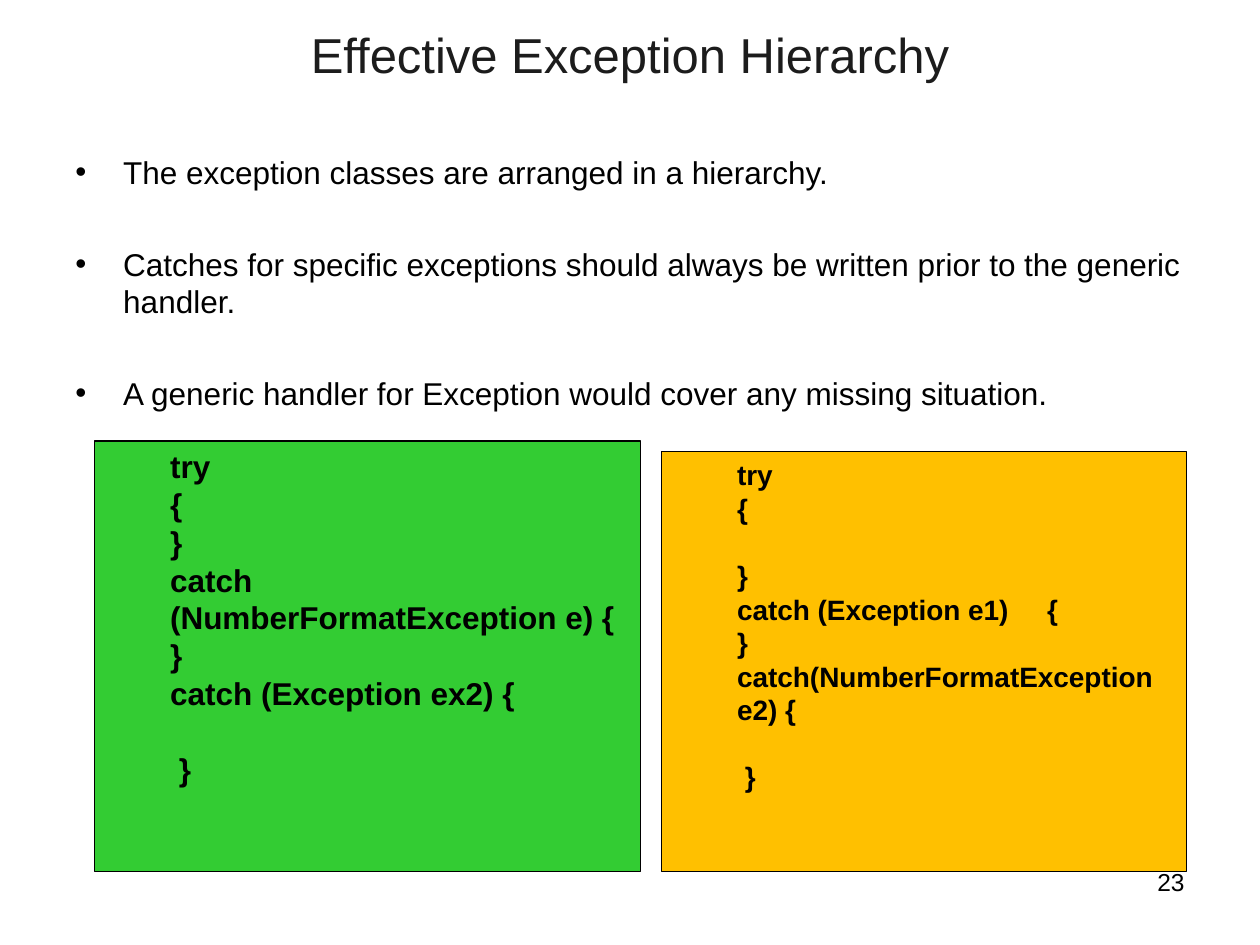
from lxml.etree import SubElement
from pptx import Presentation
from pptx.dml.color import RGBColor
from pptx.enum.shapes import MSO_SHAPE
from pptx.enum.text import MSO_ANCHOR, MSO_AUTO_SIZE, PP_ALIGN
from pptx.oxml.ns import qn
from pptx.util import Inches, Pt

CELL = 1 / 12  # grid of 120 columns by 90 rows, in inches
LEAD = 1.2     # line height as a share of the text size


def paint(target, code):
    """Give a fill or font colour format a hex colour."""
    target.rgb = RGBColor.from_string(code)


def write(frame, lines, size=18, color="000000", font="Arial", bold=False,
          align=PP_ALIGN.LEFT, anchor=MSO_ANCHOR.TOP, inset=(0.1, 0.05, 0.1, 0.05),
          gap=0, bullet=None, hang=0, tab=None):
    """Fill a frame; each None in lines leaves one line of space before the next."""
    frame.word_wrap = True
    frame.auto_size = MSO_AUTO_SIZE.NONE
    frame.vertical_anchor = anchor
    (frame.margin_left, frame.margin_top,
     frame.margin_right, frame.margin_bottom) = map(Inches, inset)
    para, space = frame.paragraphs[0], 0
    for line in lines:
        if line is None:
            space += size * LEAD + gap
            continue
        if para.runs:
            para = frame.add_paragraph()
        run = para.add_run()
        run.text = line
        run.font.name, run.font.size, run.font.bold = font, Pt(size), bold
        paint(run.font.color, color)
        para.alignment = align
        para.line_spacing = Pt(size * LEAD)
        para.space_before = Pt(space)
        space = gap
        props = para._p.get_or_add_pPr()
        if bullet:
            props.set("marL", str(Inches(hang)))
            props.set("indent", str(-Inches(hang)))
            SubElement(props, qn("a:buFont"), typeface=font)
            SubElement(props, qn("a:buChar"), char=bullet)
        if tab:
            stops = SubElement(props, qn("a:tabLst"))
            SubElement(stops, qn("a:tab"), pos=str(Inches(tab)), algn="l")


class Page:
    """Holds the current slide and places elements by column and row."""

    def __init__(self, deck):
        self.slide = deck.slides.add_slide(deck.slide_layouts[5])

    def area(self, *cells):
        return [Inches(cell * CELL) for cell in cells]

    def title(self, text, *cells):
        shape = self.slide.shapes.title
        shape.left, shape.top, shape.width, shape.height = self.area(*cells)
        write(shape.text_frame, [text], size=28, color="1C1C1C",
              align=PP_ALIGN.CENTER, anchor=MSO_ANCHOR.BOTTOM,
              inset=(0.1, 0, 0.1, 0.34))

    def text(self, lines, *cells, **style):
        shape = self.slide.shapes.add_textbox(*self.area(*cells))
        write(shape.text_frame, lines, **style)

    def code(self, lines, fill, *cells, **style):
        shape = self.slide.shapes.add_shape(MSO_SHAPE.RECTANGLE, *self.area(*cells))
        shape.shadow.inherit = False
        shape.fill.solid()
        paint(shape.fill.fore_color, fill)
        paint(shape.line.color, "000000")
        shape.line.width = Pt(0.75)
        write(shape.text_frame, lines, bold=True,
              inset=(0.6, 0.05, 0.1, 0.05), **style)


def main():
    deck = Presentation()
    deck.slide_width, deck.slide_height = Inches(10), Inches(7.5)
    page = Page(deck)
    page.text(["23"], 86, 82, 28, 6.2, size=14, align=PP_ALIGN.RIGHT)
    page.title("Effective Exception Hierarchy", 6, 3.6, 108, 8.4)
    page.text([
        "The exception classes are arranged in a hierarchy.",
        None,
        "Catches for specific exceptions should always be written prior to "
        "the generic handler.",
        None,
        "A generic handler for Exception would cover any missing situation.",
    ], 6, 14, 108, 66.4, gap=4.5, bullet="•", hang=0.38)
    page.code([
        "try", "{", "}",
        "catch (NumberFormatException e) {", "}",
        "catch (Exception ex2) {", None, " }",
    ], "33CC33", 9, 42, 52, 41)
    page.code([
        "try", "{", None, "}",
        "catch (Exception e1)\t{", "}",
        "catch(NumberFormatException e2) {", None, " }",
    ], "FFC000", 63, 43, 50, 40, size=16, align=PP_ALIGN.JUSTIFY, tab=2.46)
    deck.save("out.pptx")


if __name__ == "__main__":
    main()
